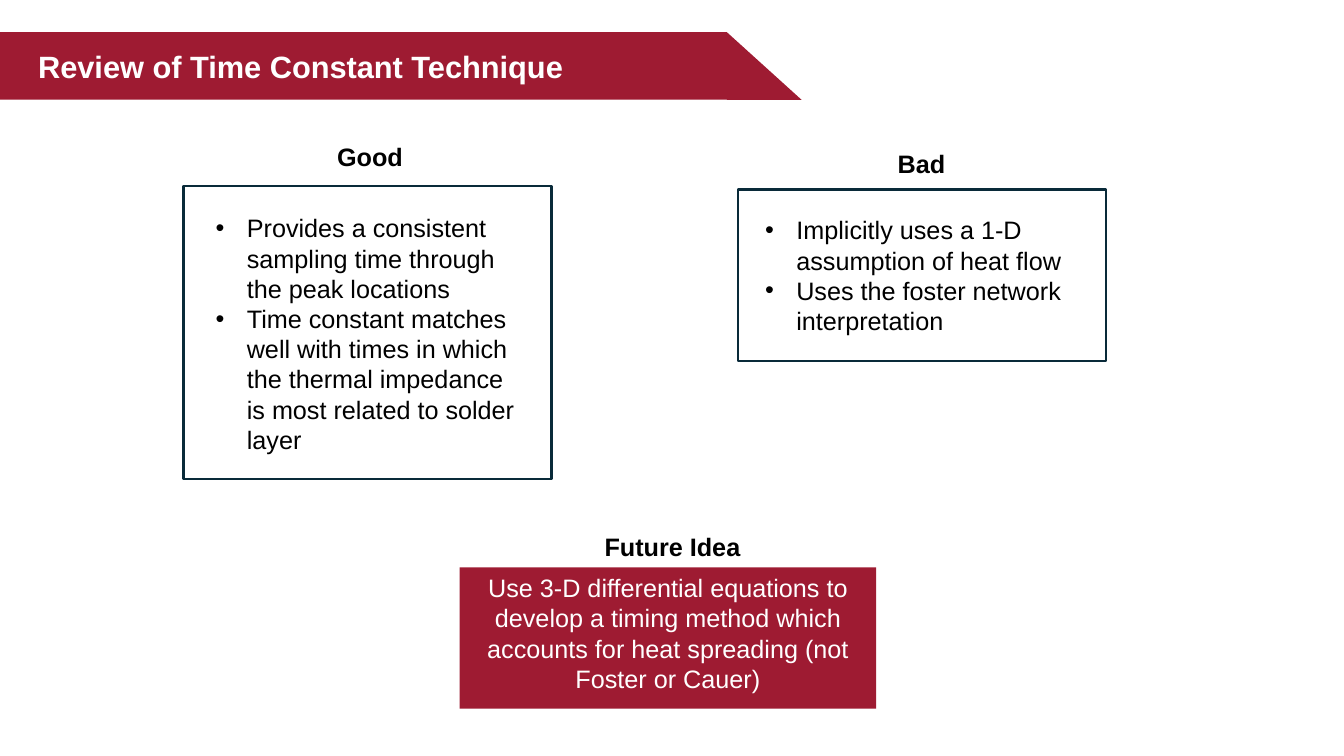
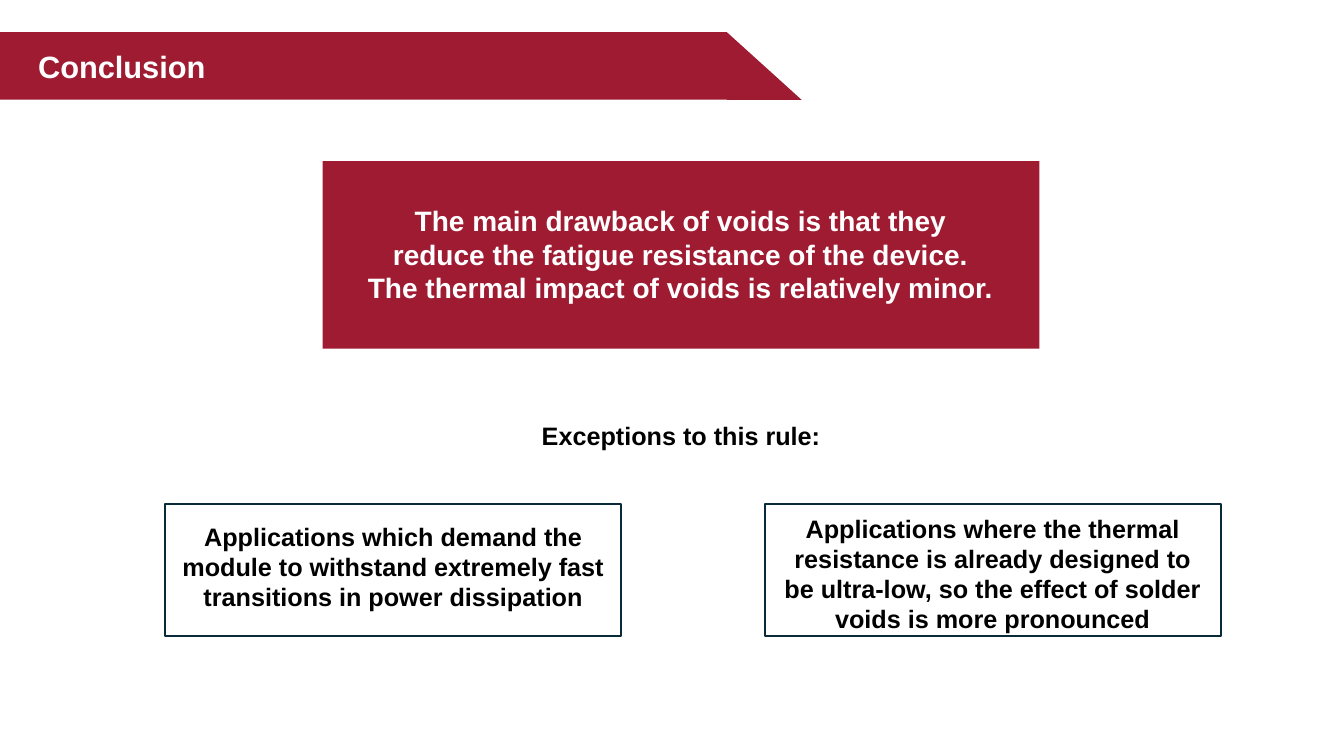
import pptx
import pptx.util
import pptx.dml.color
import pptx.enum.shapes
import pptx.enum.text
from dataclasses import dataclass
from lxml import etree

Inches = pptx.util.Inches
Pt = pptx.util.Pt
RGB = pptx.dml.color.RGBColor.from_string
SHAPE = pptx.enum.shapes.MSO_SHAPE
ALIGN = pptx.enum.text.PP_ALIGN


@dataclass(frozen=True)
class Theme:
    crimson: str = "9E1B32"
    navy: str = "092A39"
    white: str = "FFFFFF"
    black: str = "000000"
    font: str = "Arial"
    title: int = 22
    lead: int = 20
    body: int = 18
    outline: float = 1.5
    indent: float = 0.31


theme = Theme()


def add_text(s, text, at, size=theme.body, color=theme.black, bold=False,
             align=ALIGN.CENTER, bullets=False):
    tf = s.shapes.add_textbox(*map(Inches, at)).text_frame
    tf.word_wrap = True
    for i, line in enumerate(text.split("\n")):
        p = tf.paragraphs[0] if i == 0 else tf.add_paragraph()
        p.alignment = align
        if bullets:
            pPr = p._p.get_or_add_pPr()
            pPr.set("marL", str(Inches(theme.indent)))
            pPr.set("indent", str(-Inches(theme.indent)))
            for tag, key, value in (("buFont", "typeface", theme.font), ("buChar", "char", "•")):
                bullet = etree.SubElement(pPr, pptx.oxml.ns.qn("a:" + tag))
                bullet.set(key, value)
        r = p.add_run()
        r.text = line
        r.font.name = theme.font
        r.font.size = Pt(size)
        r.font.bold = bold
        r.font.color.rgb = RGB(color)


def add_box(s, at, kind=SHAPE.RECTANGLE, filled=True):
    sp = s.shapes.add_shape(kind, *map(Inches, at))
    sp.shadow.inherit = False
    if filled:
        sp.fill.solid()
        sp.fill.fore_color.rgb = RGB(theme.crimson)
        sp.line.fill.background()
    else:
        sp.fill.background()
        sp.line.color.rgb = RGB(theme.navy)
        sp.line.width = Pt(theme.outline)


prs = pptx.Presentation()
prs.slide_width = Inches(13.33)
prs.slide_height = Inches(7.5)

slides = []
for title in ("Review of Time Constant Technique", "Conclusion"):
    s = prs.slides.add_slide(prs.slide_layouts[6])
    add_box(s, (0, 0.32, 7.21, 0.67))
    add_box(s, (7.21, 0.32, 0.74, 0.67), kind=SHAPE.RIGHT_TRIANGLE)
    add_text(s, title, (0.28, 0.42, 7.66, 0.47), size=theme.title,
             color=theme.white, bold=True, align=ALIGN.LEFT)
    slides.append(s)
review, conclusion = slides

columns = (
    ("Good", (2.39, 1.35, 2.56, 0.4), (1.82, 1.85, 3.65, 2.9), (2.04, 2.06, 3.26, 2.52),
     "Provides a consistent sampling time through the peak locations\n"
     "Time constant matches well with times in which the thermal impedance "
     "is most related to solder layer"),
    ("Bad", (7.86, 1.42, 2.56, 0.4), (7.32, 1.88, 3.65, 1.7), (7.49, 2.08, 3.74, 1.31),
     "Implicitly uses a 1-D assumption of heat flow\n"
     "Uses the foster network interpretation"),
)
for heading, heading_at, frame_at, points_at, points in columns:
    add_box(review, frame_at, filled=False)
    add_text(review, heading, heading_at, bold=True)
    add_text(review, points, points_at, align=ALIGN.LEFT, bullets=True)

add_box(review, (4.56, 5.63, 4.13, 1.4))
add_text(review, "Future Idea", (5.39, 5.22, 2.56, 0.4), bold=True)
add_text(review, "Use 3-D differential equations to develop a timing method which "
         "accounts for heat spreading (not Foster or Cauer)",
         (4.56, 5.63, 4.13, 1.31), color=theme.white)

add_box(conclusion, (3.2, 1.6, 7.11, 1.86))
add_text(conclusion, "The main drawback of voids is that they reduce the fatigue resistance "
         "of the device. The thermal impact of voids is relatively minor.",
         (3.54, 1.97, 6.42, 1.11), size=theme.lead, color=theme.white, bold=True)
add_text(conclusion, "Exceptions to this rule:", (5.09, 4.12, 3.33, 0.4), bold=True)

exceptions = (
    (1.64, (1.7, 5.12, 4.4, 1.01),
     "Applications which demand the module to withstand extremely fast "
     "transitions in power dissipation"),
    (7.59, (7.62, 5.04, 4.45, 1.31),
     "Applications where the thermal resistance is already designed to be "
     "ultra-low, so the effect of solder voids is more pronounced"),
)
for left, text_at, text in exceptions:
    add_box(conclusion, (left, 5, 4.52, 1.31), filled=False)
    add_text(conclusion, text, text_at, bold=True)

prs.save("out.pptx")
